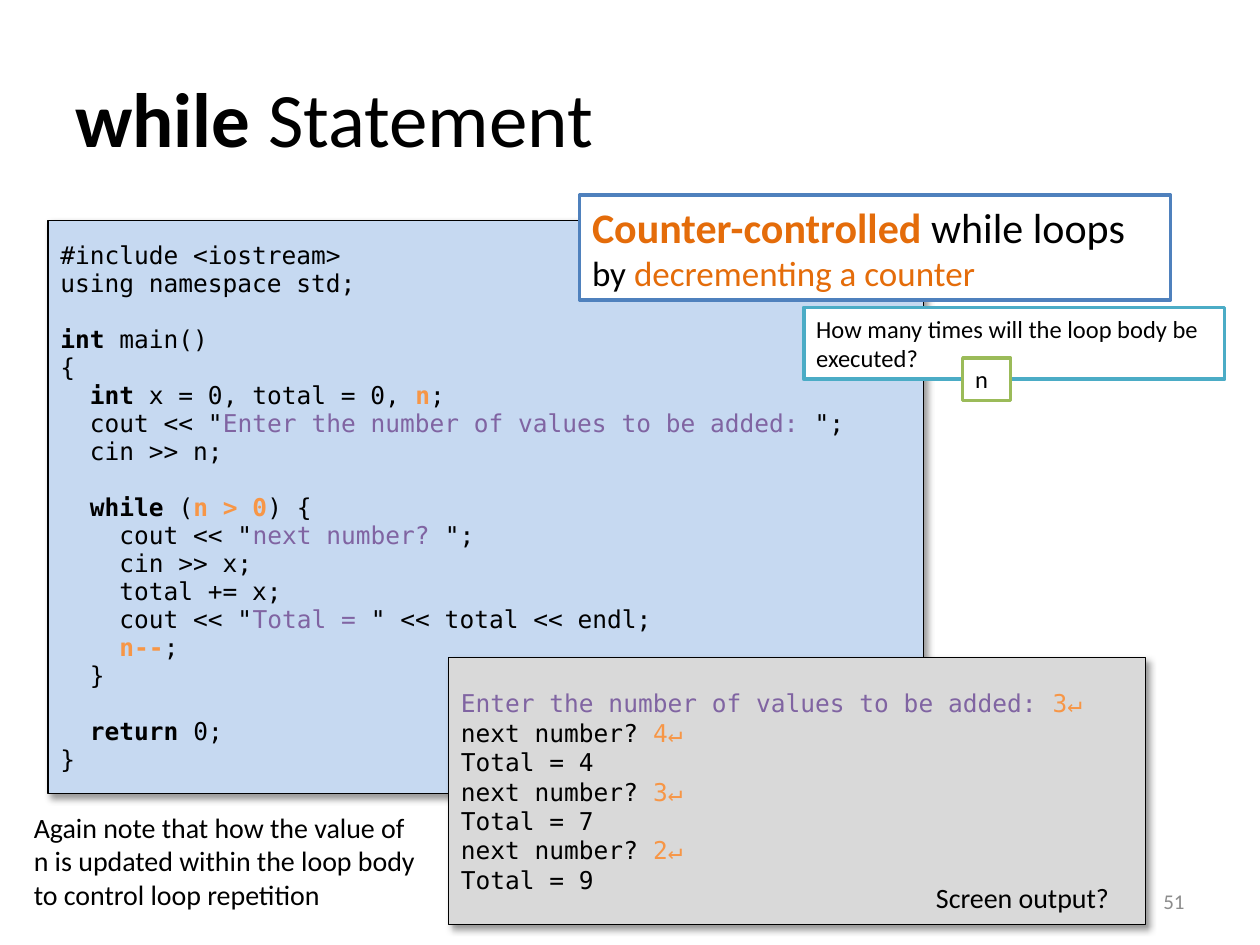
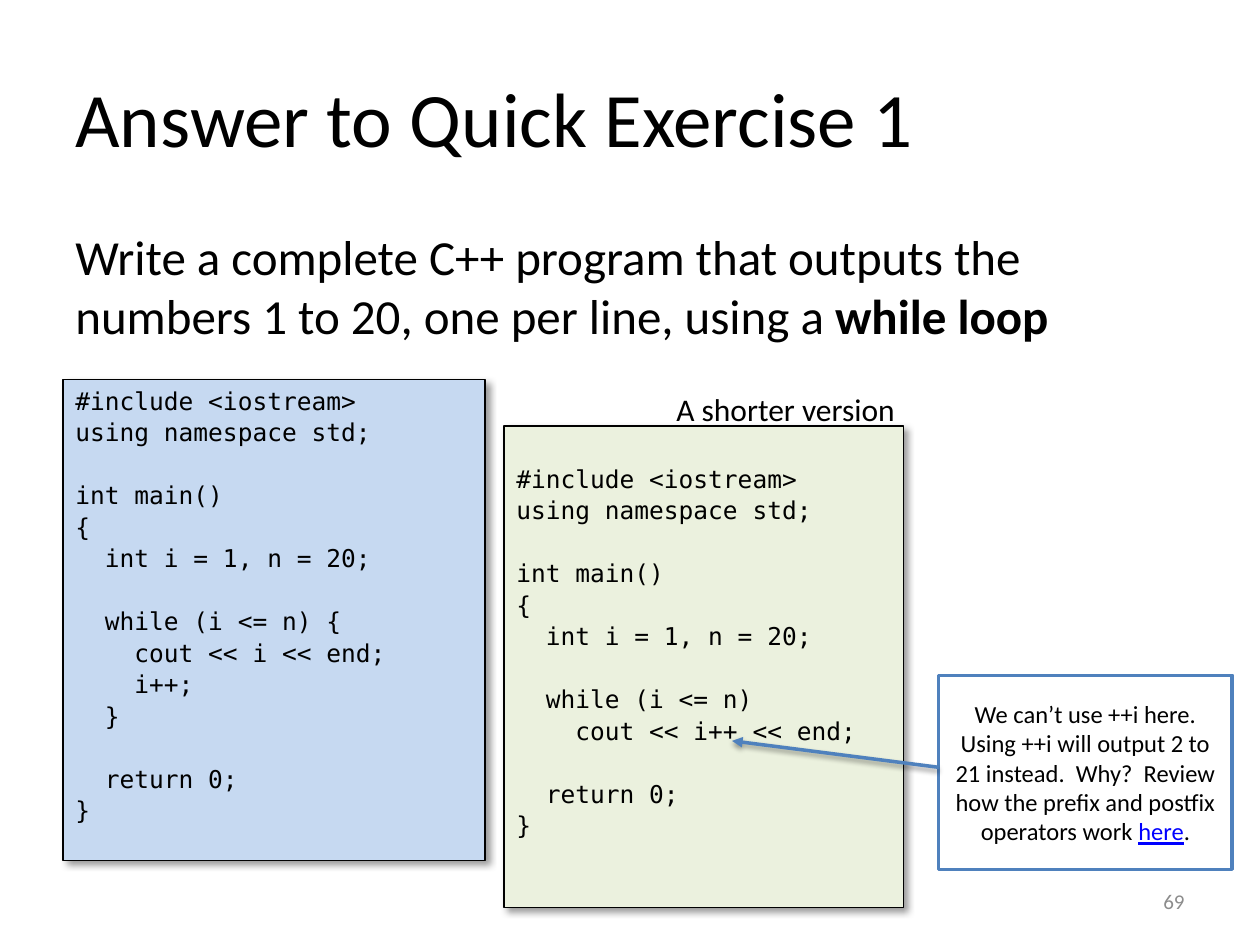
from dataclasses import dataclass
from typing import NamedTuple, Optional, Union

from lxml.etree import SubElement
from pptx import Presentation
from pptx.dml.color import RGBColor
from pptx.enum.shapes import MSO_CONNECTOR as Connector, MSO_SHAPE as Preset
from pptx.enum.text import MSO_ANCHOR as Anchor, PP_ALIGN as Align
from pptx.oxml.ns import qn
from pptx.util import Emu, Pt

EMU_PER_PX = 9144  # 100 px to the inch


class Theme:
    SANS, MONO = "Calibri", "DejaVu Sans Mono"
    BLACK, WHITE, NUMBER_GREY, LINK = "000000", "FFFFFF", "8C8C8C", "0000FF"
    BLUE, AQUA, GREEN = "4F81BD", "4BACC6", "9BBB59"
    ORANGE, DEEP_ORANGE, PURPLE = "F79646", "E46C0A", "8064A2"
    CODE_BLUE, CODE_GREEN, SCREEN_GREY = "C6D9F1", "EBF1DE", "D9D9D9"
    TITLE, BODY, CALLOUT, CALLOUT_SUB = 44, 28, 24, 20
    CAPTION, NOTE, CODE, NUMBER = 18, 16, 14, 12
    THIN, THICK = 0.75, 2


class Shadow(NamedTuple):
    alpha: int
    blur: float
    distance: float
    angle: int


PANEL_SHADOW = Shadow(40, 4, 3, 45)
ARROW_SHADOW = Shadow(38, 3.1, 1.6, 90)


class Span(NamedTuple):
    text: str
    color: Optional[str] = None
    bold: bool = False
    size: Optional[int] = None
    underline: bool = False


Line = Union[str, list]


class Area(NamedTuple):
    left: int
    top: int
    width: int
    height: int


@dataclass
class Box:
    area: Area
    lines: list
    size: int = Theme.CODE
    font: str = Theme.SANS
    color: str = Theme.BLACK
    fill: Optional[str] = None
    border: str = Theme.BLACK
    border_width: float = Theme.THICK
    shadow: Optional[Shadow] = None
    align: Align = Align.LEFT
    anchor: Anchor = Anchor.TOP
    leading: Optional[int] = None
    bottom_inset: int = 5
    wrap: bool = True


def px(length: int) -> Emu:
    return Emu(length * EMU_PER_PX)


def rgb(color: str) -> RGBColor:
    return RGBColor.from_string(color)


def cast_shadow(shape, shadow: Shadow) -> None:
    effects = SubElement(shape.element.spPr, qn("a:effectLst"))
    outer = SubElement(effects, qn("a:outerShdw"), blurRad=str(Pt(shadow.blur)),
                       dist=str(Pt(shadow.distance)), dir=str(shadow.angle * 60000),
                       algn="tl", rotWithShape="0")
    tint = SubElement(outer, qn("a:srgbClr"), val=Theme.BLACK)
    SubElement(tint, qn("a:alpha"), val=str(shadow.alpha * 1000))


def write_line(paragraph, line: Line, box: Box) -> None:
    for part in [line] if isinstance(line, str) else line:
        span = Span(part) if isinstance(part, str) else part
        run = paragraph.add_run()
        run.text = span.text
        font = run.font
        font.name = box.font
        font.size = Pt(span.size or box.size)
        font.bold = span.bold
        font.underline = span.underline
        font.color.rgb = rgb(span.color or box.color)


def write_text(frame, box: Box) -> None:
    """Fill the frame; an empty line becomes space before the line after it."""
    frame.word_wrap = box.wrap
    frame.vertical_anchor = box.anchor
    frame.margin_left = frame.margin_right = px(10)
    frame.margin_top, frame.margin_bottom = px(5), px(box.bottom_inset)
    skipped, started = 0, False
    for line in box.lines:
        if not line:
            skipped += 1
            continue
        paragraph = frame.add_paragraph() if started else frame.paragraphs[0]
        paragraph.alignment = box.align
        if box.leading:
            paragraph.line_spacing = Pt(box.leading)
            if skipped:
                paragraph.space_before = Pt(box.leading * skipped)
        write_line(paragraph, line, box)
        skipped, started = 0, True


def draw_box(slide, box: Box) -> None:
    place = [px(length) for length in box.area]
    if box.fill is None:
        shape = slide.shapes.add_textbox(*place)
    else:
        shape = slide.shapes.add_shape(Preset.RECTANGLE, *place)
        shape.fill.solid()
        shape.fill.fore_color.rgb = rgb(box.fill)
        shape.line.color.rgb = rgb(box.border)
        shape.line.width = Pt(box.border_width)
        if box.shadow:
            cast_shadow(shape, box.shadow)
        else:
            shape.shadow.inherit = False
    write_text(shape.text_frame, box)


def draw_arrow(slide, start: tuple, end: tuple) -> None:
    arrow = slide.shapes.add_connector(
        Connector.STRAIGHT, *(px(length) for length in start + end))
    arrow.line.color.rgb = rgb(Theme.BLUE)
    arrow.line.width = Pt(Theme.THICK)
    SubElement(arrow.line._get_or_add_ln(), qn("a:tailEnd"), type="triangle")
    cast_shadow(arrow, ARROW_SHADOW)


def panel(area: Area, lines: list, fill: str, leading: Optional[int] = None,
          bottom_inset: int = 5) -> Box:
    """A shadowed block of monospaced text."""
    return Box(area, lines, font=Theme.MONO, fill=fill, border_width=Theme.THIN,
               shadow=PANEL_SHADOW, anchor=Anchor.MIDDLE, leading=leading,
               bottom_inset=bottom_inset)


def callout(area: Area, lines: list, border: str, **options) -> Box:
    return Box(area, lines, fill=Theme.WHITE, border=border, **options)


def add_slide(deck, title: Line, number: int, boxes: list):
    slide = deck.slides.add_slide(deck.slide_layouts[6])
    heading = Box(Area(50, 30, 900, 125), [title], Theme.TITLE, anchor=Anchor.MIDDLE)
    page_number = Box(Area(717, 695, 233, 40), [str(number)], Theme.NUMBER,
                      color=Theme.NUMBER_GREY, align=Align.RIGHT, anchor=Anchor.MIDDLE)
    for box in [heading, *boxes, page_number]:
        draw_box(slide, box)
    return slide


def keyword(text: str) -> Span:
    return Span(text, bold=True)


def literal(text: str) -> Span:
    return Span(text, Theme.PURPLE)


def counter(text: str) -> Span:
    return Span(text, Theme.ORANGE, bold=True)


def typed(text: str) -> Span:
    return Span(text + "↵", Theme.ORANGE)


INCLUDES = ["#include <iostream>", "using namespace std;", ""]

SUM_PROGRAM = INCLUDES + [
    [keyword("int"), " main()"],
    "{",
    ["  ", keyword("int"), " x = 0, total = 0, ", counter("n"), ";"],
    ['  cout << "', literal("Enter the number of values to be added: "), '";'],
    "  cin >> n;",
    "",
    ["  ", keyword("while"), " (", counter("n > 0"), ") {"],
    ['    cout << "', literal("next number?"), ' ";'],
    "    cin >> x;",
    "    total += x;",
    ['    cout << "', literal("Total = "), '" << total << endl;'],
    [counter("    n--"), ";"],
    "  }",
    "",
    ["  ", keyword("return"), " 0;"],
    "}",
]

SCREEN = [[literal("Enter the number of values to be added: "), typed("3")]]
for entry, total in (("4", 4), ("3", 7), ("2", 9)):
    SCREEN += [["next number? ", typed(entry)], f"Total = {total}"]


def count_program(loop: list) -> list:
    return INCLUDES + ["int main()", "{", "  int i = 1, n = 20;", "",
                       *loop, "", "  return 0;", "}"]


LONG_LOOP = ["  while (i <= n) {", "    cout << i << end;", "    i++;", "  }"]
SHORT_LOOP = ["  while (i <= n)", "    cout << i++ << end;"]


def add_while_slide(deck) -> None:
    add_slide(deck, [keyword("while"), " Statement"], 51, [
        panel(Area(38, 175, 695, 455), SUM_PROGRAM, Theme.CODE_BLUE, leading=16),
        panel(Area(356, 522, 553, 212), SCREEN, Theme.SCREEN_GREY),
        Box(Area(733, 694, 158, 37), ["Screen output?"], Theme.NOTE, wrap=False),
        callout(Area(460, 155, 469, 83), [
            [Span("Counter-controlled", Theme.DEEP_ORANGE, bold=True), " while loops"],
            [Span("by ", size=Theme.CALLOUT_SUB),
             Span("decrementing a counter", Theme.DEEP_ORANGE, size=Theme.CALLOUT_SUB)],
        ], Theme.BLUE, size=Theme.CALLOUT),
        Box(Area(17, 638, 323, 91),
            ["Again note that how the value of n is updated within the loop body "
             "to control loop repetition"], Theme.NOTE),
        callout(Area(638, 244, 334, 57),
                ["How many times will the loop body be executed?"], Theme.AQUA),
        callout(Area(764, 284, 38, 34), ["n"], Theme.GREEN),
    ])


def add_answer_slide(deck) -> None:
    slide = add_slide(deck, "Answer to Quick Exercise 1", 69, [
        Box(Area(50, 175, 900, 495),
            [["Write a complete C++ program that outputs the numbers 1 to 20, "
              "one per line, using a ", keyword("while loop")]], Theme.BODY),
        panel(Area(50, 301, 335, 382), count_program(LONG_LOOP), Theme.CODE_BLUE,
              leading=18, bottom_inset=30),
        panel(Area(400, 338, 317, 382), count_program(SHORT_LOOP), Theme.CODE_GREEN,
              leading=18, bottom_inset=30),
        Box(Area(527, 305, 246, 40), ["A shorter version"], Theme.CAPTION),
        callout(Area(745, 536, 233, 154), [
            ["We can’t use ++i here. Using ++i will output 2 to 21 instead.  Why?  "
             "Review how the prefix and postfix operators work ",
             Span("here", Theme.LINK, underline=True), "."],
        ], Theme.BLUE, align=Align.CENTER, anchor=Anchor.MIDDLE),
    ])
    draw_arrow(slide, (745, 609), (581, 588))


def main() -> None:
    deck = Presentation()
    deck.slide_width, deck.slide_height = px(1000), px(750)
    add_while_slide(deck)
    add_answer_slide(deck)
    deck.save("out.pptx")


if __name__ == "__main__":
    main()
